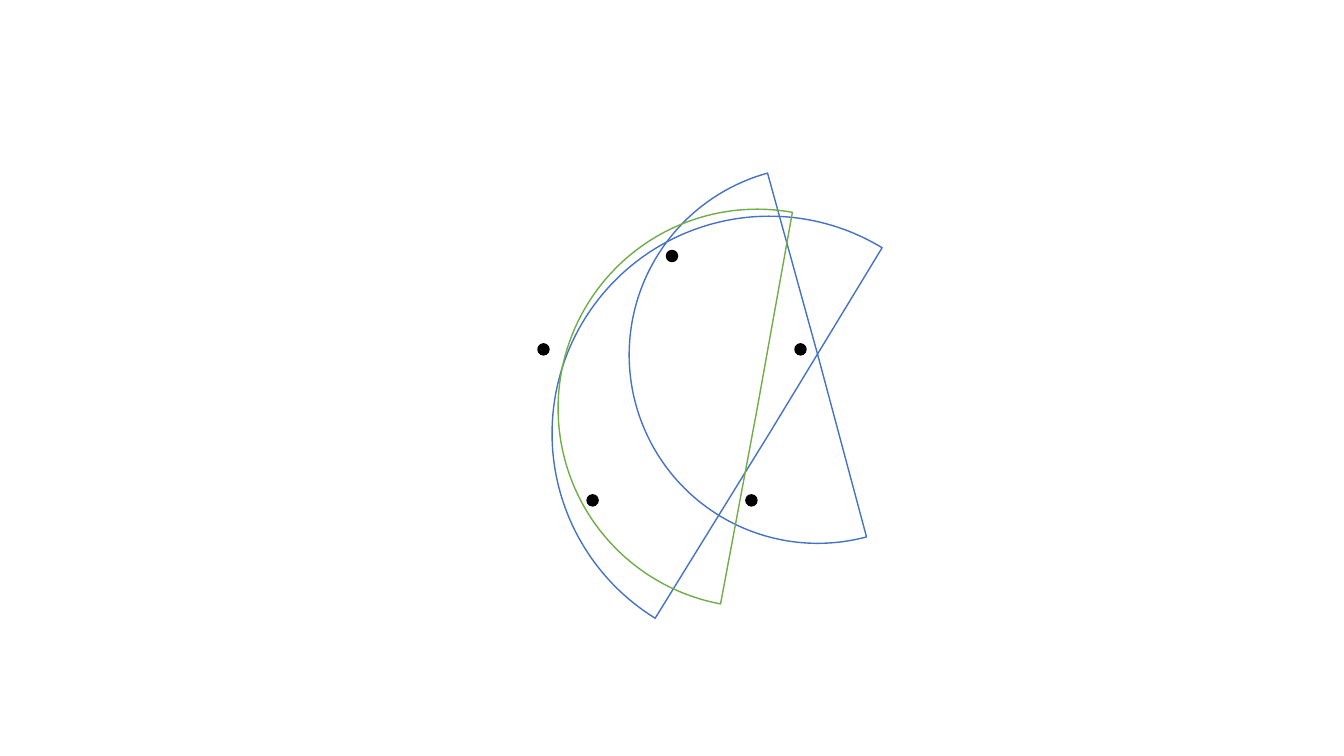
"""Draw a pentagon of dots overlaid by three rotated half discs."""
from math import cos, pi, sin

from pptx import Presentation
from pptx.dml.color import RGBColor
from pptx.enum.shapes import MSO_SHAPE as Preset
from pptx.util import Inches, Pt

WIDTH, HEIGHT = 13.33, 7.5
BLACK, BLUE, GREEN = "000000", "4472C4", "70AD47"

PENTAGON = {"center": (WIDTH / 2, 3.88), "radius": 1.34, "corners": 5, "dot": 0.11}
HALF_DISCS = [
    {"center": (7.63, 4.3), "size": 4.31, "turn": 121.7, "line": BLUE},
    {"center": (8.11, 3.52), "size": 3.74, "turn": 75, "line": BLUE},
    {"center": (7.51, 4.05), "size": 3.95, "turn": 100.6, "line": GREEN},
]
SWEEP = (0, 107.74)


def color(hex_code):
    return RGBColor.from_string(hex_code)


def add_round(shapes, preset, center, size, line, fill=None, turn=0):
    left, top = (Inches(middle - size / 2) for middle in center)
    figure = shapes.add_shape(preset, left, top, Inches(size), Inches(size))
    figure.shadow.inherit = False
    figure.rotation = turn
    figure.line.color.rgb = color(line)
    figure.line.width = Pt(1)
    if fill:
        figure.fill.solid()
        figure.fill.fore_color.rgb = color(fill)
    else:
        figure.fill.background()
    return figure


deck = Presentation()
deck.slide_width, deck.slide_height = Inches(WIDTH), Inches(HEIGHT)
slide = deck.slides.add_slide(deck.slide_layouts[6])

dots = slide.shapes.add_group_shape()
middle_x, middle_y = PENTAGON["center"]
for corner in range(PENTAGON["corners"]):
    angle = 2 * pi * corner / PENTAGON["corners"]
    spot = (middle_x + PENTAGON["radius"] * sin(angle),
            middle_y - PENTAGON["radius"] * cos(angle))
    add_round(dots.shapes, Preset.OVAL, spot, PENTAGON["dot"], BLACK, fill=BLACK)

for half_disc in HALF_DISCS:
    pie = add_round(slide.shapes, Preset.PIE, **half_disc)
    for index, bound in enumerate(SWEEP):
        pie.adjustments[index] = bound

deck.save("out.pptx")
